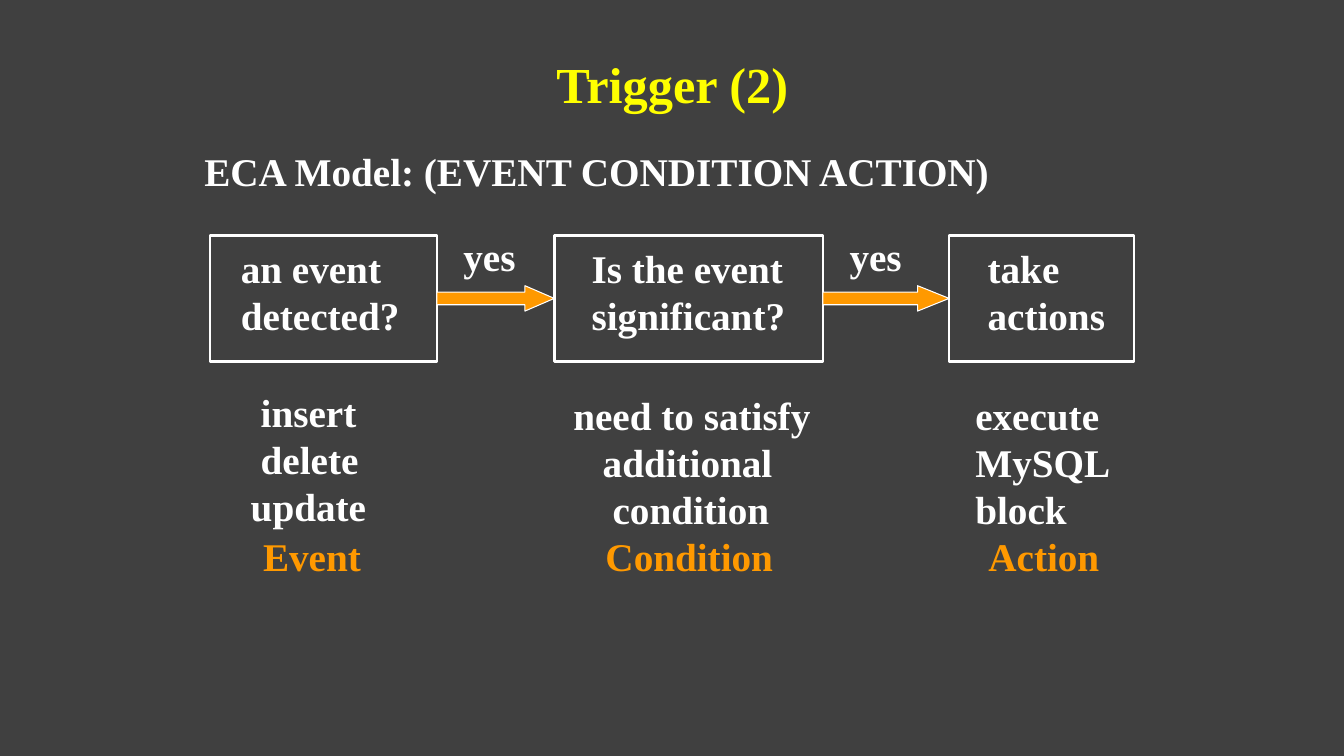
from collections import namedtuple
from pptx import Presentation
from pptx.dml.color import RGBColor
from pptx.enum.shapes import MSO_SHAPE as Shape
from pptx.enum.text import MSO_ANCHOR as Anchor, PP_ALIGN as Align
from pptx.util import Cm, Pt

COLORS = {"back": "404040", "title": "FFFF00", "text": "FFFFFF", "accent": "FF9900"}
BOX_TOP, BOX_HEIGHT = 5.93, 3.18
ARROW_HEIGHT = 0.64

Stage = namedtuple(
    "Stage", "left width question_left question detail_left detail_top details label_left label"
)
STAGES = [
    Stage(5.29, 5.72, 5.82, [("an event", 0), ("detected?", 0)],
          6.07, 9.65, [("insert", 0.25), ("delete", 0.25), ("update", 0)], 6.38, "Event"),
    Stage(13.97, 6.77, 14.66, [("Is the event", 0), ("significant?", 0)],
          14.2, 9.73, [("need to satisfy", 0), ("additional", 0.74), ("condition", 0.99)],
          15.01, "Condition"),
    Stage(23.92, 4.66, 24.64, [("take", 0), ("actions", 0)],
          24.33, 9.73, [("execute", 0), ("MySQL", 0), ("block", 0)], 24.66, "Action"),
]


class SlideBuilder:
    font_name = "Times New Roman"

    def __init__(self, deck):
        self.page = deck.slides.add_slide(deck.slide_layouts[5])
        fill = self.page.background.fill
        fill.solid()
        fill.fore_color.rgb = self.color("back")

    def color(self, name):
        return RGBColor.from_string(COLORS[name])

    def style(self, para, size, color):
        font = para.font
        font.name, font.size, font.bold = self.font_name, Pt(size), True
        font.color.rgb = self.color(color)

    def title(self, text, left, top, width, height):
        box = self.page.shapes.title
        box.left, box.top, box.width, box.height = map(Cm, (left, top, width, height))
        frame = box.text_frame
        frame.text = text
        frame.vertical_anchor = Anchor.MIDDLE
        para = frame.paragraphs[0]
        para.alignment = Align.CENTER
        self.style(para, 36, "title")

    def text(self, lines, left, top, width, color="text"):
        height = 0.25 + 1.19 * len(lines)
        box = self.page.shapes.add_textbox(*map(Cm, (left, top, width, height)))
        frame = box.text_frame
        frame.word_wrap = True
        for index, (line, indent) in enumerate(lines):
            para = frame.add_paragraph() if index else frame.paragraphs[0]
            para.text = line
            if indent:
                para._p.get_or_add_pPr().set("marL", str(Cm(indent)))
            self.style(para, 28, color)

    def shape(self, kind, left, top, width, height, line_width, fill=None):
        shape = self.page.shapes.add_shape(kind, *map(Cm, (left, top, width, height)))
        shape.shadow.inherit = False
        if fill:
            shape.fill.solid()
            shape.fill.fore_color.rgb = self.color(fill)
        else:
            shape.fill.background()
        shape.line.color.rgb = self.color("text")
        shape.line.width = Pt(line_width)
        return shape

    def stage(self, stage):
        self.shape(Shape.RECTANGLE, stage.left, BOX_TOP, stage.width, BOX_HEIGHT, 1.75)
        self.text(stage.question, stage.question_left, 6.02, 5.8)
        self.text(stage.details, stage.detail_left, stage.detail_top, 7)
        self.text([(stage.label, 0)], stage.label_left, 13.28, 5, "accent")

    def arrow(self, start, end):
        width = end - start
        top = BOX_TOP + (BOX_HEIGHT - ARROW_HEIGHT) / 2
        arrow = self.shape(Shape.RIGHT_ARROW, start, top, width, ARROW_HEIGHT, 0.75, "accent")
        arrow.adjustments[0] = 0.5
        arrow.adjustments[1] = width / ARROW_HEIGHT / 4
        self.text([("yes", 0)], start + 0.42, 5.72, 2)


def main():
    deck = Presentation()
    deck.slide_width, deck.slide_height = Cm(33.87), Cm(19.05)
    builder = SlideBuilder(deck)
    builder.title("Trigger (2)", 6.15, 0.84, 21.59, 2.54)
    builder.text([("ECA Model: (EVENT CONDITION ACTION)", 0)], 4.9, 3.58, 24)
    for stage in STAGES:
        builder.stage(stage)
    for stage, following in zip(STAGES, STAGES[1:]):
        builder.arrow(stage.left + stage.width, following.left)
    deck.save("out.pptx")


if __name__ == "__main__":
    main()
